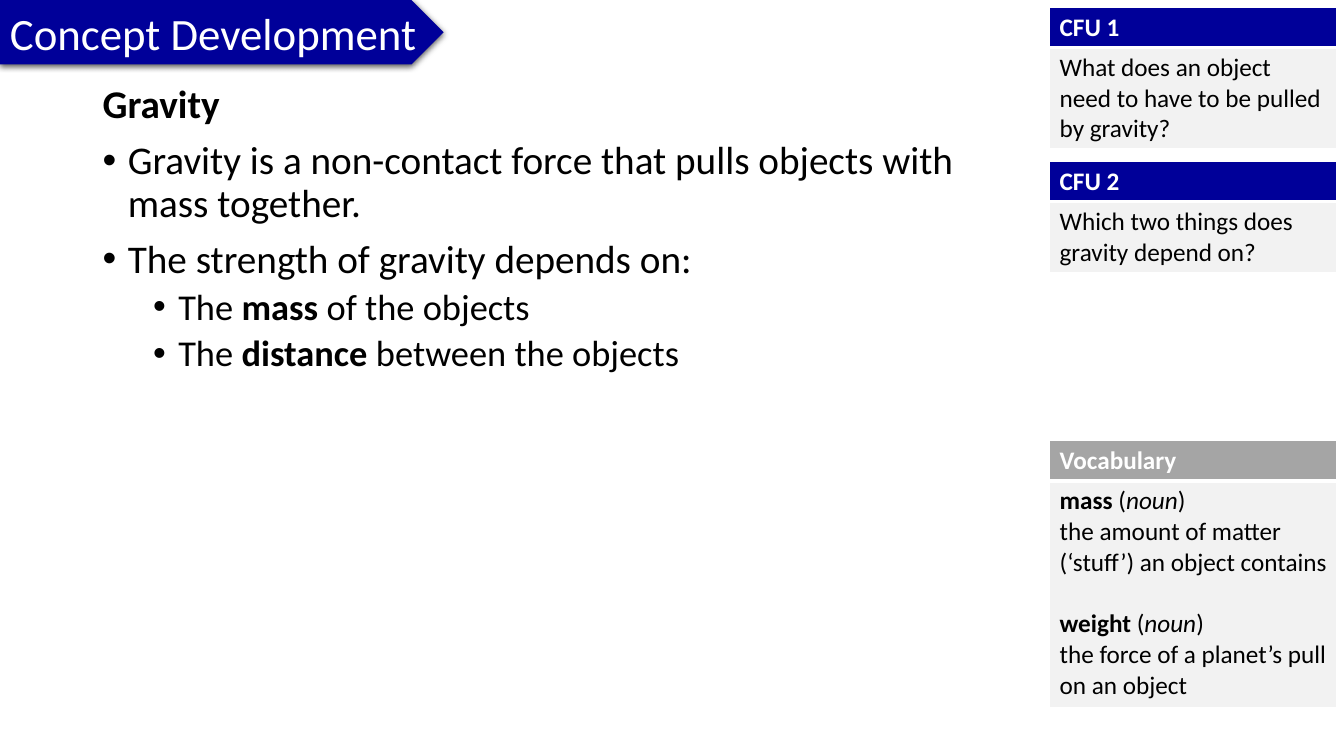
from lxml import etree
from pptx import Presentation
from pptx.dml.color import RGBColor
from pptx.enum import shapes, text
from pptx.oxml import ns
from pptx.util import Inches, Pt

NAVY = RGBColor(0x00, 0x00, 0x99)
GREY = RGBColor(0xA5, 0xA5, 0xA5)
PALE = RGBColor(0xF2, 0xF2, 0xF2)
WHITE = RGBColor(0xFF, 0xFF, 0xFF)
BLACK = RGBColor(0x00, 0x00, 0x00)
FONT = "Calibri"

# A run is (text, style), where style holds "b" for bold and "i" for italic.
TITLE = "Concept Development"
# Each body line: level (None for no bullet), runs
BODY = [
    (None, [("Gravity", "b")]),
    (0, [("Gravity is a non-contact force that pulls objects with mass together.", "")]),
    (0, [("The strength of gravity depends on:", "")]),
    (1, [("The ", ""), ("mass", "b"), (" of the objects", "")]),
    (1, [("The ", ""), ("distance", "b"), (" between the objects", "")]),
]
NOUN = [("(", ""), ("noun", "i"), (")", "")]
# Each side card: top, height, header colour, header, lines of (space before, runs)
CARDS = [
    (0.07, 1.4, NAVY, "CFU 1",
     [(0, [("What does an object need to have to be pulled by gravity?", "")])]),
    (1.6, 1.1, NAVY, "CFU 2",
     [(0, [("Which two things does gravity depend on?", "")])]),
    (4.37, 2.65, GREY, "Vocabulary",
     [(0, [("mass ", "b")] + NOUN),
      (0, [("the amount of matter (‘stuff’) an object contains", "")]),
      (22, [("weight ", "b")] + NOUN),
      (0, [("the force of a planet’s pull on an object", "")])]),
]
CARD_LEFT, CARD_WIDTH, HEADER_HEIGHT = 10.41, 2.85, 0.4


def add_element(parent, tag, **attributes):
    return etree.SubElement(parent, ns.qn(tag), attributes)


def write(frame, runs, size, color=BLACK, before=0, line=None, level=None):
    """Write runs as the next paragraph of a text frame; a level adds a bullet."""
    is_first = not frame.paragraphs[0].runs
    paragraph = frame.paragraphs[0] if is_first else frame.add_paragraph()
    paragraph.alignment = text.PP_ALIGN.LEFT
    if level is not None:
        paragraph.level = level
        properties = paragraph._p.get_or_add_pPr()
        properties.set("marL", str(Inches(0.25 + 0.5 * level)))
        properties.set("indent", str(Inches(-0.25)))
        add_element(properties, "a:buFont", typeface="Arial")
        add_element(properties, "a:buChar", char="•")
    if line:
        paragraph.line_spacing = line
    paragraph.space_before = Pt(0 if is_first else before)
    for content, style in runs:
        run = paragraph.add_run()
        run.text = content
        run.font.name = FONT
        run.font.size = Pt(size)
        run.font.color.rgb = color
        run.font.bold = "b" in style
        run.font.italic = "i" in style


def add_title(slide):
    tag = slide.shapes.add_shape(
        shapes.MSO_SHAPE.PENTAGON, 0, 0, Inches(4.4), Inches(0.64))
    tag.fill.solid()
    tag.fill.fore_color.rgb = NAVY
    tag.line.fill.background()
    tag.shadow.inherit = False
    effects = tag._element.spPr.find(ns.qn("a:effectLst"))
    shadow = add_element(effects, "a:outerShdw", blurRad=str(Pt(4.5)),
                         dist=str(Pt(1.5)), dir="5400000", rotWithShape="0")
    shade = add_element(shadow, "a:srgbClr", val=str(BLACK))
    add_element(shade, "a:alpha", val="63000")
    tag.text_frame.word_wrap = False
    tag.text_frame.auto_size = text.MSO_AUTO_SIZE.SHAPE_TO_FIT_TEXT
    write(tag.text_frame, [(TITLE, "")], 32, WHITE)


def add_body(slide):
    box = slide.shapes.add_textbox(Inches(0.92), Inches(0.79), Inches(9.36), Inches(4.76))
    box.text_frame.word_wrap = True
    for level, runs in BODY:
        size, before = (26, 5) if level == 1 else (28, 10)
        write(box.text_frame, runs, size, before=before, line=0.9, level=level)


def style_cell(cell, fill, top, bottom):
    """Fill a cell and give it white borders, 1 point wide at the sides."""
    properties = cell._tc.get_or_add_tcPr()
    for side, width in (("L", 1), ("R", 1), ("T", top), ("B", bottom)):
        border = add_element(properties, f"a:ln{side}", w=str(Pt(width)))
        add_element(add_element(border, "a:solidFill"), "a:srgbClr", val=str(WHITE))
    cell.fill.solid()
    cell.fill.fore_color.rgb = fill


def add_card(slide, top, height, color, header, lines):
    table = slide.shapes.add_table(
        2, 1, Inches(CARD_LEFT), Inches(top), Inches(CARD_WIDTH), Inches(height)).table
    table.first_row = table.horz_banding = False
    table.rows[0].height = Inches(HEADER_HEIGHT)
    table.rows[1].height = Inches(height - HEADER_HEIGHT)
    head, content = table.cell(0, 0), table.cell(1, 0)
    style_cell(head, color, 1, 3)
    style_cell(content, PALE, 3, 1)
    write(head.text_frame, [(header, "b")], 18, WHITE)
    for before, runs in lines:
        write(content.text_frame, runs, 18, before=before)


def main():
    presentation = Presentation()
    presentation.slide_width = Inches(13.33)
    presentation.slide_height = Inches(7.5)
    slide = presentation.slides.add_slide(presentation.slide_layouts[6])
    add_title(slide)
    add_body(slide)
    for card in CARDS:
        add_card(slide, *card)
    presentation.save("out.pptx")


if __name__ == "__main__":
    main()
